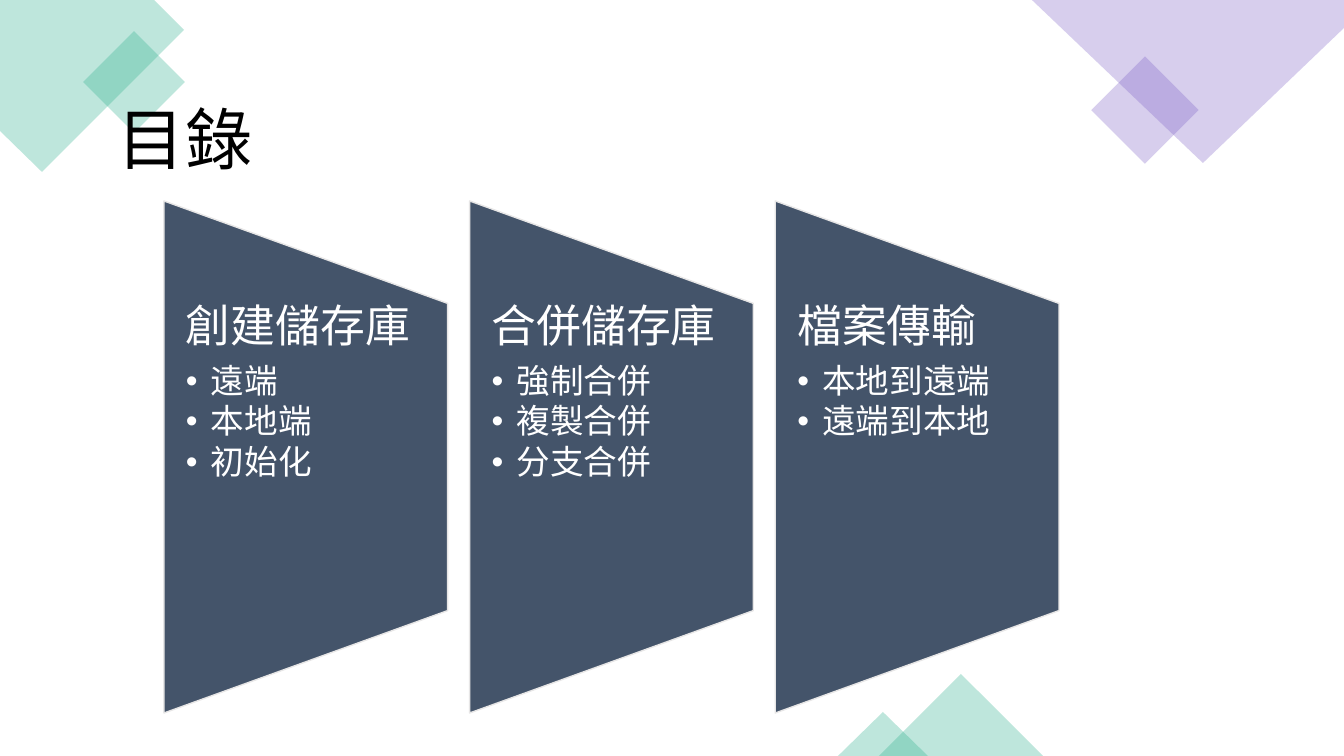
import lxml.etree
import pptx
import pptx.dml.color
import pptx.enum.shapes
import pptx.enum.text
import pptx.oxml.ns
import pptx.util

EMU_PER_PX = 914400 / 100.8
SHAPES = pptx.enum.shapes.MSO_SHAPE


class Theme:
    font = "Calibri"
    green, purple = "29AF8C", "7C60C6"
    panel, panel_line = "44546A", "E7E6E6"
    title_color, panel_text = "000000", "FFFFFF"
    title_size, heading_size, item_size = 48, 32, 24
    decoration_alpha = 30


CONTENTS = [
    ("創建儲存庫", ["遠端", "本地端", "初始化"]),
    ("合併儲存庫", ["強制合併", "複製合併", "分支合併"]),
    ("檔案傳輸", ["本地到遠端", "遠端到本地"]),
]


def px(length):
    return round(length * EMU_PER_PX)


def rgb(color):
    return pptx.dml.color.RGBColor.from_string(color)


def add_child(parent, tag, **attributes):
    return lxml.etree.SubElement(parent, pptx.oxml.ns.qn(tag), attributes)


def style_decoration(shape, color):
    shape.shadow.inherit = False
    shape.fill.solid()
    shape.fill.fore_color.rgb = rgb(color)
    shape.line.fill.background()
    color_node = shape.fill._xPr.find(".//" + pptx.oxml.ns.qn("a:srgbClr"))
    add_child(color_node, "a:alpha", val=str(Theme.decoration_alpha * 1000))


def add_preset(page, kind, box, color, rotation=0):
    shape = page.shapes.add_shape(kind, *map(px, box))
    shape.rotation = rotation
    style_decoration(shape, color)


def add_outline(page, origin, points, color):
    left, top = origin
    corners = [(left + x, top + y) for x, y in points]
    builder = page.shapes.build_freeform(*corners[0], scale=EMU_PER_PX)
    builder.add_line_segments(corners[1:], close=True)
    style_decoration(builder.convert_to_shape(), color)


def add_text_box(page, box, side_inset, end_inset):
    frame = page.shapes.add_textbox(*map(px, box)).text_frame
    frame.word_wrap = True
    frame.vertical_anchor = pptx.enum.text.MSO_ANCHOR.TOP
    frame.margin_left = frame.margin_right = px(side_inset)
    frame.margin_top = frame.margin_bottom = px(end_inset)
    return frame


def write(para, text, size, color):
    para.text = text
    para.font.name = Theme.font
    para.font.size = pptx.util.Pt(size)
    para.font.color.rgb = rgb(color)


def draw_decorations(page, box):
    left, top, width, height = box
    right, bottom = left + width, top + height

    # Top left corner
    add_outline(page, (left, top),
                [(0, 0), (154, 0), (184, 30), (42, 172), (0, 131)], Theme.green)
    add_preset(page, SHAPES.RECTANGLE, (left + 98, top + 46, 72, 72), Theme.green, 315)

    # Top right corner
    add_preset(page, SHAPES.RECTANGLE, (right - 237, top + 72, 76, 76), Theme.purple, 315)
    add_outline(page, (right, top),
                [(-312, 0), (0, 0), (0, 28), (-141, 163)], Theme.purple)

    # Bottom edge
    for x, w, h in [(879, 164, 82), (838, 90, 44)]:
        add_preset(page, SHAPES.ISOSCELES_TRIANGLE, (left + x, bottom - h, w, h), Theme.green)


def draw_title(page, box, text):
    frame = add_text_box(page, box, 10, 5)
    write(frame.paragraphs[0], text, Theme.title_size, Theme.title_color)


def draw_panel(page, box, heading, items):
    left, top, width, height = box

    # Trapezoid turned on its side about the centre of the box
    shift = (height - width) / 2
    panel = page.shapes.add_shape(
        SHAPES.FLOWCHART_MANUAL_OPERATION,
        px(left - shift), px(top + shift), px(height), px(width))
    panel.rotation = 270
    panel.shadow.inherit = False
    panel.fill.solid()
    panel.fill.fore_color.rgb = rgb(Theme.panel)
    panel.line.color.rgb = rgb(Theme.panel_line)
    panel.line.width = pptx.util.Pt(1)

    # Text in the middle three fifths
    frame = add_text_box(page, (left, top + height / 5, width, height * 3 / 5), 22, 0)
    para = frame.paragraphs[0]
    write(para, heading, Theme.heading_size, Theme.panel_text)
    para.line_spacing = 0.9
    para.space_after = pptx.util.Pt(9)
    for item in items:
        para = frame.add_paragraph()
        write(para, item, Theme.item_size, Theme.panel_text)
        para.level = 1
        para.line_spacing = 0.9
        para.space_after = pptx.util.Pt(3)
        add_bullet(para, 25)


def add_bullet(para, indent):
    properties = para._p.get_or_add_pPr()
    properties.set("marL", str(px(indent)))
    properties.set("indent", str(-px(indent)))
    bullet_font = pptx.oxml.ns.qn("a:buFont")
    default_run = properties.find(pptx.oxml.ns.qn("a:defRPr"))
    marks = [lxml.etree.Element(bullet_font, typeface="Arial"),
             lxml.etree.Element(pptx.oxml.ns.qn("a:buChar"), char="•")]
    for mark in marks:
        if default_run is None:
            properties.append(mark)
        else:
            default_run.addprevious(mark)


def draw_panels(page, box, contents):
    left, top, width, height = box
    gap = 22
    panel_width = (width - gap * (len(contents) - 1)) / len(contents)
    for index, (heading, items) in enumerate(contents):
        x = left + index * (panel_width + gap)
        draw_panel(page, (x, top, panel_width, height), heading, items)


def main():
    deck = pptx.Presentation()
    deck.slide_width, deck.slide_height = px(1344), px(756)
    page = deck.slides.add_slide(deck.slide_layouts[6])
    draw_decorations(page, (0, 0, 1344, 756))
    draw_title(page, (108, 92, 594, 92), "目錄")
    draw_panels(page, (164, 201, 895, 512), CONTENTS)
    deck.save("out.pptx")


if __name__ == "__main__":
    main()
